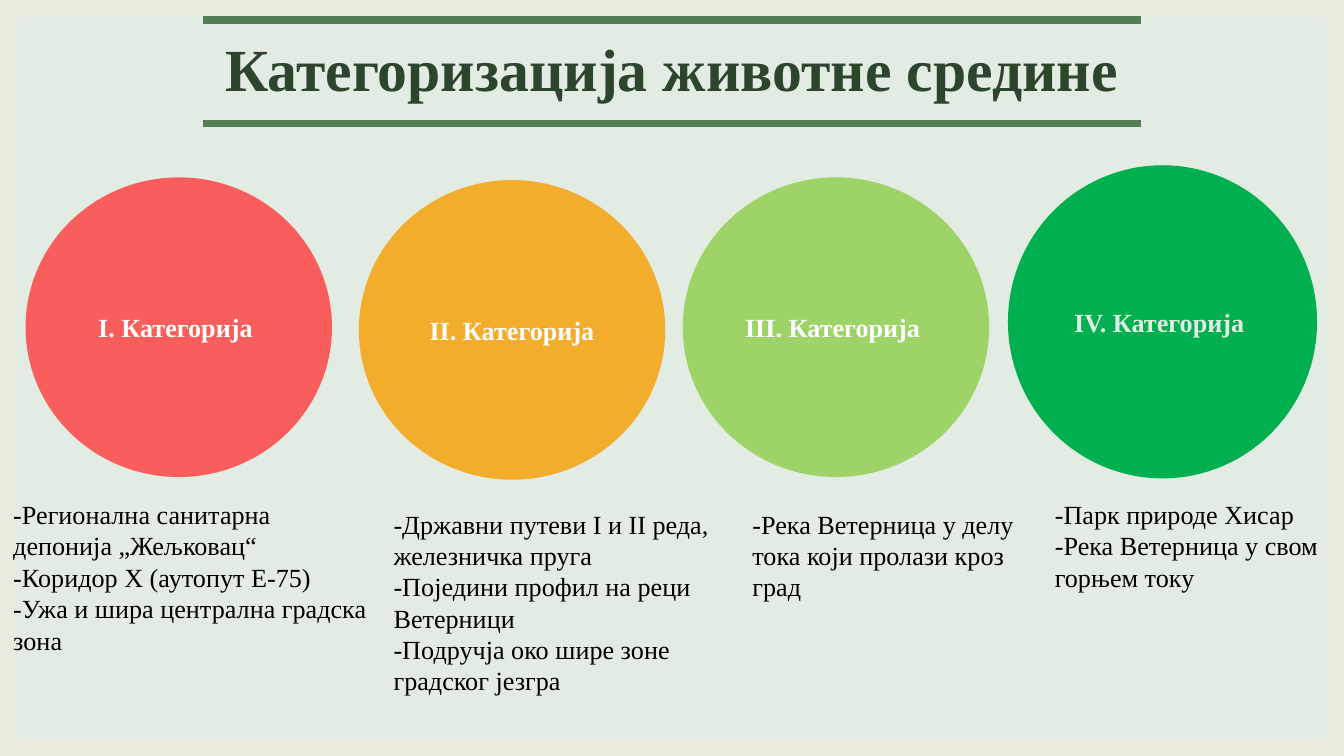
from dataclasses import dataclass

from lxml.etree import SubElement as Sub
from pptx import Presentation
from pptx.dml.color import RGBColor as RGB
from pptx.enum.shapes import MSO_SHAPE as SHAPE
from pptx.enum.text import MSO_ANCHOR as ANCHOR, PP_ALIGN as ALIGN
from pptx.oxml import parse_xml
from pptx.oxml.ns import nsdecls, qn
from pptx.util import Inches, Pt


@dataclass(frozen=True)
class Theme:
    font: str = "Times New Roman"
    title_size: int = 32
    body_size: int = 14
    rule_width: float = 4.5
    ground: str = "E2ECE3"
    frame: str = "EAEBDE"
    title: str = "2D452D"
    rule: str = "527E56"
    white: str = "FFFFFF"
    body: str = "000000"
    circle_opacity: int = 84


THEME = Theme()
WIDTH = Inches(10)
HEIGHT = WIDTH * 9 // 16
GRID = WIDTH / 100

CATEGORIES = [
    dict(label="I. Категорија ", color="FF4343", ink=THEME.white, opacity=THEME.circle_opacity,
         circle=(1.9, 13.2, 22.8, 22.3), examples=(0, 36.6, 30.8, 17.5),
         lines=["-Регионална санитарна", "депонија „Жељковац“",
                "-Коридор X (аутопут Е-75)", "-Ужа и шира централна градска зона"]),
    dict(label=" II. Категорија ", color="F6A20A", ink=THEME.white, opacity=THEME.circle_opacity,
         circle=(26.7, 13.4, 22.8, 22.3), examples=(28.3, 37.3, 29.2, 19.9),
         lines=["-Државни путеви I и II реда,", "железничка пруга",
                "-Поједини профил на реци Ветерници",
                "-Подручја око шире зоне градског језгра"]),
    dict(label="III. Категорија ", color="92D050", ink=THEME.white, opacity=THEME.circle_opacity,
         circle=(50.8, 13.2, 22.8, 22.3), examples=(55, 37.3, 21.5, 8.1),
         lines=["-Река Ветерница у делу тока који пролази кроз град"]),
    dict(label="IV. Категорија ", color="00B050", ink=THEME.ground, opacity=100,
         circle=(75, 12.3, 23, 23.3), examples=(77.5, 36.6, 24.2, 8.1),
         lines=["-Парк природе Хисар", "-Река Ветерница у свом горњем току"]),
]


def place(box):
    return [round(cells * GRID) for cells in box]


def apply(target, values):
    for name, value in values.items():
        setattr(target, name, value)


def write(frame, lines, color, size, bold=False, align=ALIGN.LEFT, **layout):
    apply(frame, dict(word_wrap=True, **layout))
    for index, line in enumerate(lines):
        paragraph = frame.paragraphs[0] if index == 0 else frame.add_paragraph()
        paragraph.alignment = align
        run = paragraph.add_run()
        run.text = line
        apply(run.font, dict(name=THEME.font, size=Pt(size), bold=bold))
        run.font.color.rgb = RGB.from_string(color)


def add_plain(slide, preset, box, color, opacity=100):
    shape = slide.shapes.add_shape(preset, *box)
    shape.shadow.inherit = False
    shape.fill.solid()
    shape.fill.fore_color.rgb = RGB.from_string(color)
    shape.line.fill.background()
    if opacity < 100:
        tint = shape.fill._xPr.find(qn("a:solidFill"))[0]
        Sub(tint, qn("a:alpha"), val=str(opacity * 1000))
    return shape


def add_backdrop(slide, box):
    slide.background.fill.solid()
    slide.background.fill.fore_color.rgb = RGB.from_string(THEME.ground)
    border = add_plain(slide, SHAPE.FRAME, box, THEME.frame)
    border.adjustments[0] = 0.022


def border_xml(side, visible):
    paint = f'<a:solidFill><a:srgbClr val="{THEME.rule}"/></a:solidFill>' if visible else "<a:noFill/>"
    return parse_xml(f'<a:{side} {nsdecls("a")} w="{Pt(THEME.rule_width)}">{paint}</a:{side}>')


def add_heading(slide, text, title_box, rules_box):
    title = slide.shapes.add_textbox(*place(title_box)).text_frame
    write(title, [text], THEME.title, THEME.title_size, bold=True, align=ALIGN.CENTER,
          vertical_anchor=ANCHOR.BOTTOM, margin_top=Inches(0.1), margin_bottom=Inches(0.1))
    rules = slide.shapes.add_table(1, 1, *place(rules_box)).table
    apply(rules, dict(first_row=False, horz_banding=False))
    cell = rules.cell(0, 0)
    cell.fill.background()
    properties = cell._tc.get_or_add_tcPr()
    for index, side in enumerate(("lnL", "lnR", "lnT", "lnB")):
        properties.insert(index, border_xml(side, side in ("lnT", "lnB")))


def add_category(slide, label, color, ink, opacity, circle, examples, lines):
    disc = add_plain(slide, SHAPE.OVAL, place(circle), color, opacity)
    write(disc.text_frame, [label], ink, THEME.body_size, bold=True, align=ALIGN.CENTER,
          vertical_anchor=ANCHOR.MIDDLE)
    caption = slide.shapes.add_textbox(*place(examples)).text_frame
    write(caption, lines, THEME.body, THEME.body_size)


def main():
    deck = Presentation()
    apply(deck, dict(slide_width=WIDTH, slide_height=HEIGHT))
    slide = deck.slides.add_slide(deck.slide_layouts[6])
    add_backdrop(slide, (0, 0, WIDTH, HEIGHT))
    add_heading(slide, "Категоризација животне средине",
                (5, 3.1, 90, 5.6), (15.1, 1.5, 69.8, 7.7))
    for category in CATEGORIES:
        add_category(slide, **category)
    deck.save("out.pptx")


if __name__ == "__main__":
    main()
